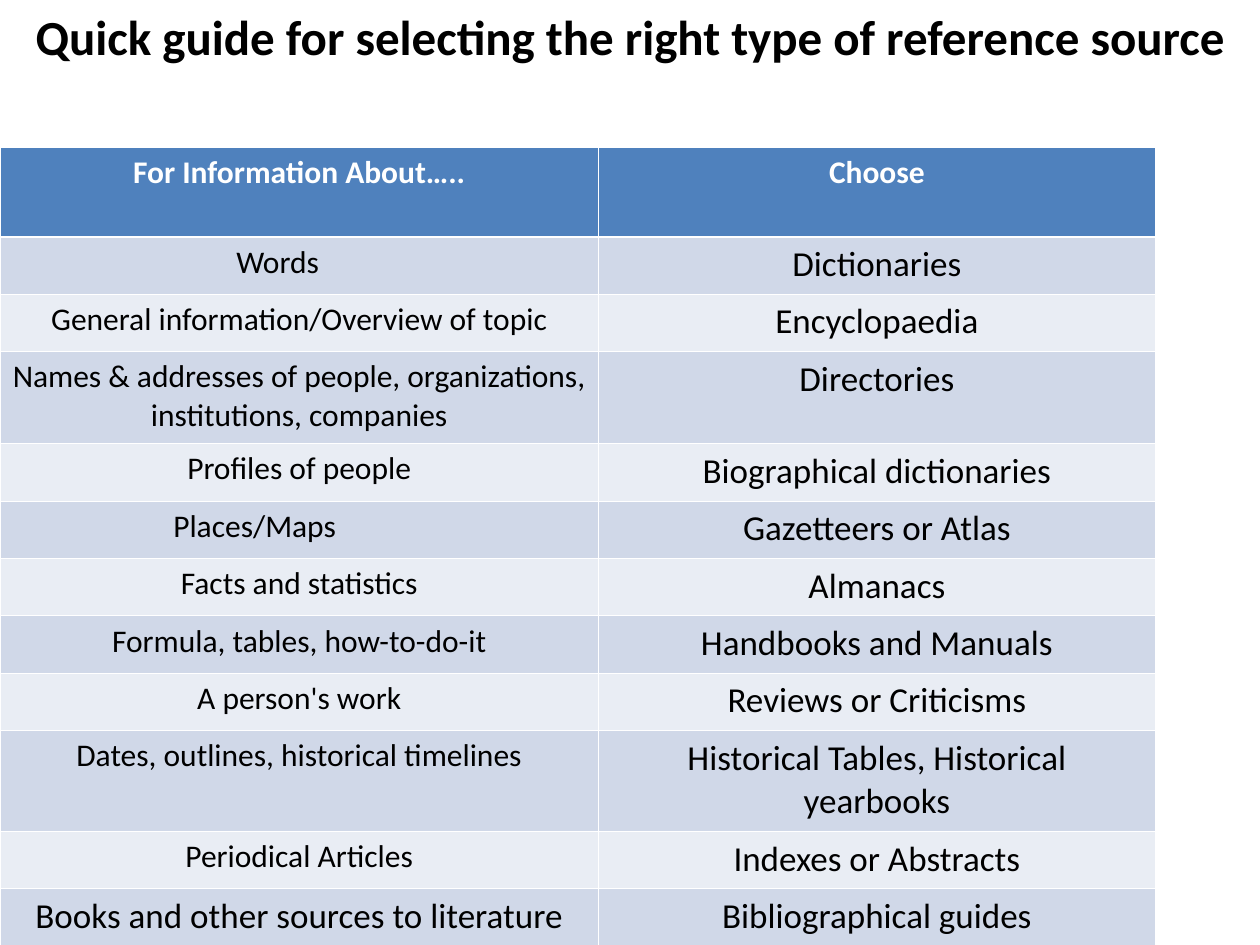
from pptx import Presentation
from pptx.dml.color import RGBColor
from pptx.enum.text import MSO_ANCHOR, MSO_AUTO_SIZE, PP_ALIGN
from pptx.oxml.ns import qn
from pptx.util import Inches, Pt
from lxml.etree import SubElement

BLACK = RGBColor(0x00, 0x00, 0x00)
WHITE = RGBColor(0xFF, 0xFF, 0xFF)
HEADER_BLUE = RGBColor(0x4F, 0x81, 0xBD)
BANDS = (RGBColor(0xD0, 0xD8, 0xE8), RGBColor(0xE9, 0xED, 0xF4))

SLIDE_WIDTH, SLIDE_HEIGHT = Inches(10), Inches(7.5)
COLUMN_WIDTHS = (4.75, 4.42)
TALL_ROWS = {0: 0.71, 3: 0.73, 9: 0.8}
THIN_LINE, HEADER_LINE = Pt(0.45), Pt(1.47)

TITLE = "Quick guide for selecting the right type of reference source"
GUIDE = [
    ("For Information About…..", "Choose"),
    ("Words \t", "Dictionaries"),
    ("General information/Overview of topic", "Encyclopaedia"),
    ("Names & addresses of people, organizations, institutions, companies", "Directories"),
    ("Profiles of people", "Biographical dictionaries"),
    ("Places/Maps \t", "Gazetteers or Atlas"),
    ("Facts and statistics", "Almanacs"),
    ("Formula, tables, how-to-do-it", "Handbooks and Manuals"),
    ("A person's work", "Reviews or Criticisms"),
    ("Dates, outlines, historical timelines", "Historical Tables, Historical yearbooks"),
    ("Periodical Articles", "Indexes or Abstracts"),
    ("Books and other sources to literature", "Bibliographical guides"),
]


def write_text(text_frame, text, size=18, color=BLACK, bold=False):
    """Write one centred paragraph with tab stops at every inch."""
    paragraph = text_frame.paragraphs[0]
    paragraph.alignment = PP_ALIGN.CENTER
    tab_list = SubElement(paragraph._p.get_or_add_pPr(), qn("a:tabLst"))
    for inch in range(8):
        SubElement(tab_list, qn("a:tab"), pos=str(Inches(inch)), algn="l")
    run = paragraph.add_run()
    run.text = text
    run.font.name = "Calibri"
    run.font.size = Pt(size)
    run.font.bold = bold
    run.font.color.rgb = color


def add_borders(cell, top, bottom):
    """Draw white lines round a cell."""
    properties = cell._tc.get_or_add_tcPr()
    widths = {"lnL": THIN_LINE, "lnR": THIN_LINE, "lnT": top, "lnB": bottom}
    for side, width in widths.items():
        line = SubElement(properties, qn(f"a:{side}"), w=str(width))
        fill = SubElement(line, qn("a:solidFill"))
        SubElement(fill, qn("a:srgbClr"), val=str(WHITE))


def add_title(slide, left, top, width, height):
    """Place the heading at the top of the given box."""
    title = slide.shapes.title
    title.left, title.top, title.width, title.height = left, top, width, height
    text_frame = title.text_frame
    text_frame.auto_size = MSO_AUTO_SIZE.NONE
    text_frame.word_wrap = True
    text_frame.vertical_anchor = MSO_ANCHOR.TOP
    write_text(text_frame, TITLE, size=28, bold=True)


def add_guide_table(slide, left, top, width, height):
    """Fill the given box with the banded two-column guide."""
    table = slide.shapes.add_table(len(GUIDE), len(COLUMN_WIDTHS), left, top, width, height).table
    for column, share in zip(table.columns, COLUMN_WIDTHS):
        column.width = int(width * share / sum(COLUMN_WIDTHS))
    tall_total = Inches(sum(TALL_ROWS.values()))
    regular_height = (height - tall_total) // (len(GUIDE) - len(TALL_ROWS))
    last_row = len(GUIDE) - 1
    for row_index, entries in enumerate(GUIDE):
        is_header = row_index == 0
        tall_height = TALL_ROWS.get(row_index)
        table.rows[row_index].height = Inches(tall_height) if tall_height else regular_height
        for column_index, text in enumerate(entries):
            cell = table.cell(row_index, column_index)
            add_borders(
                cell,
                top=HEADER_LINE if row_index == 1 else THIN_LINE,
                bottom=HEADER_LINE if is_header else THIN_LINE,
            )
            cell.fill.solid()
            cell.fill.fore_color.rgb = HEADER_BLUE if is_header else BANDS[(row_index - 1) % 2]
            is_large = not is_header and (column_index == 1 or row_index == last_row)
            write_text(
                cell.text_frame,
                text,
                size=20 if is_large else 18,
                color=WHITE if is_header else BLACK,
                bold=is_header,
            )


def main():
    """Build and save the reference guide slide."""
    presentation = Presentation()
    presentation.slide_width, presentation.slide_height = SLIDE_WIDTH, SLIDE_HEIGHT
    slide = presentation.slides.add_slide(presentation.slide_layouts[5])
    add_title(slide, 0, 0, SLIDE_WIDTH, SLIDE_HEIGHT)
    add_guide_table(slide, 0, Inches(1.17), Inches(sum(COLUMN_WIDTHS)), Inches(6.34))
    presentation.save("out.pptx")


if __name__ == "__main__":
    main()
